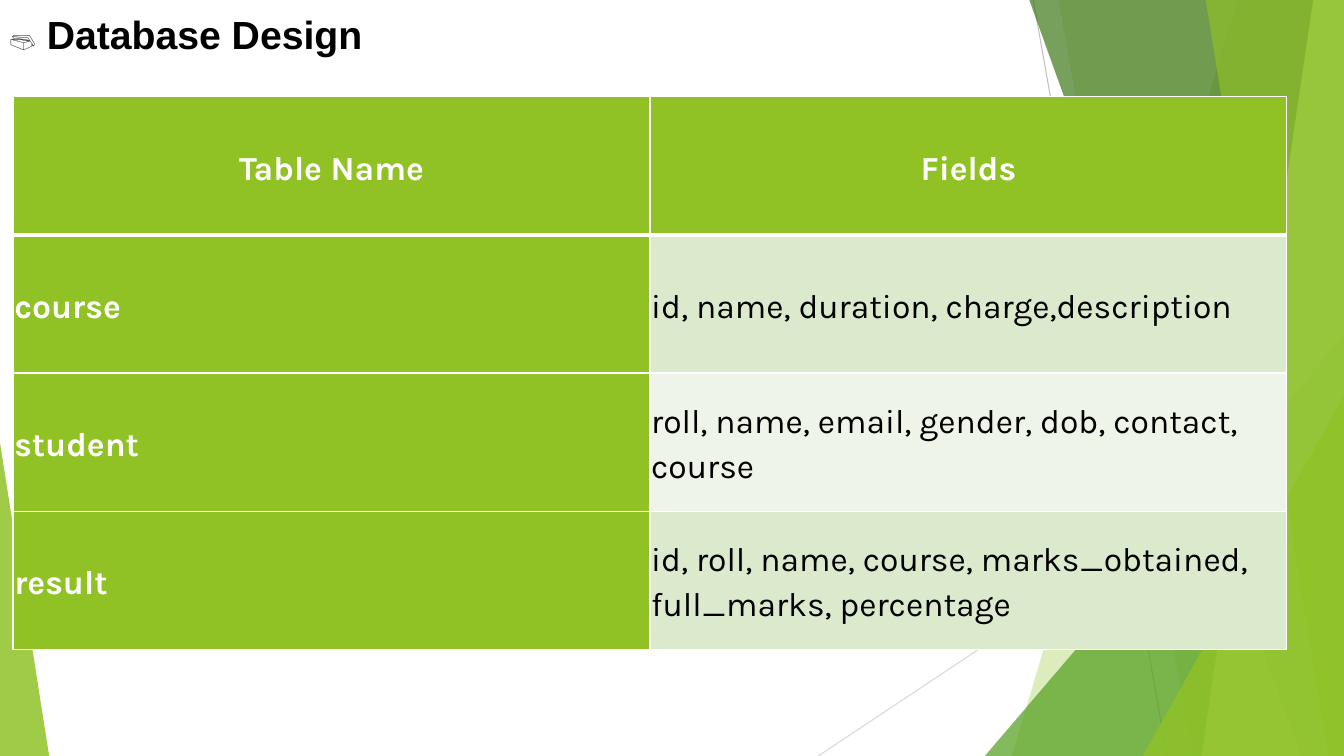
from dataclasses import dataclass
from typing import Any

from lxml.etree import SubElement
from pptx import Presentation
from pptx.dml.color import RGBColor
from pptx.enum.shapes import MSO_CONNECTOR, MSO_SHAPE
from pptx.enum.text import MSO_ANCHOR as ANCHOR
from pptx.enum.text import MSO_AUTO_SIZE as AUTO_SIZE
from pptx.enum.text import PP_ALIGN as ALIGN
from pptx.oxml.ns import qn
from pptx.util import Cm, Pt

# Colours
WHITE = RGBColor(0xFF, 0xFF, 0xFF)
BLACK = RGBColor(0x00, 0x00, 0x00)
LIME = RGBColor(0x90, 0xC2, 0x26)
PALE_LIME = RGBColor(0xC0, 0xE4, 0x74)
GREEN = RGBColor(0x54, 0xA0, 0x21)
DARK_GREEN = RGBColor(0x3F, 0x78, 0x19)
BAND_DARK = RGBColor(0xDB, 0xE9, 0xCD)
BAND_LIGHT = RGBColor(0xEE, 0xF4, 0xE8)
GREY = RGBColor(0xBF, 0xBF, 0xBF)
LIGHT_GREY = RGBColor(0xD9, 0xD9, 0xD9)

# Lengths in centimetres
SLIDE_W, SLIDE_H = 33.87, 19.05
PANEL_TOP = -0.03
COL_W, ROW_H = 16.05, 3.48


@dataclass
class Ray:
    x1: float
    y1: float
    x2: float
    y2: float
    color: RGBColor


@dataclass
class Panel:
    """Slanted panel that reaches the right edge of the slide."""
    top_x: float
    bottom_x: float
    color: RGBColor
    opacity: int


@dataclass
class Wedge:
    """Right triangle standing on the bottom edge of the slide."""
    left: float
    top: float
    width: float
    apex: float
    color: RGBColor
    opacity: int


RAYS = [
    Ray(26.04, 0, 29.41, SLIDE_H, GREY),
    Ray(SLIDE_W, 10.24, 20.62, SLIDE_H, LIGHT_GREY),
]
FACETS = [
    Panel(31.19, 25.5, LIME, 30),
    Panel(26.67, 30.05, LIME, 20),
    Wedge(24.82, 8.46, 9.05, 1, GREEN, 72),
    Panel(25.93, 32.79, DARK_GREEN, 70),
    Panel(33.1, 30.28, PALE_LIME, 70),
    Panel(30.38, 33.48, LIME, 65),
    Wedge(28.8, 9.98, 5.07, 1, LIME, 80),
    Wedge(0, 11.15, 1.24, 0, LIME, 85),
]
ROWS = [
    ("Table Name", "Fields"),
    ("course", "id, name, duration, charge,description"),
    ("student", "roll, name, email, gender, dob, contact, course"),
    ("result", "id, roll, name, course, marks_obtained, full_marks, percentage"),
]
TITLE_FORMAT = {"name": "Arial", "bold": True}
LABEL_FORMAT = {"name": "Karla", "size": Pt(24), "bold": True}
FIELD_FORMAT = {**LABEL_FORMAT, "bold": False}


def set_all(target: Any, values: dict) -> None:
    for name, value in values.items():
        setattr(target, name, value)


def add_run(p: Any, text: str, fmt: dict, color: RGBColor) -> None:
    r = p.add_run()
    r.text = text
    set_all(r.font, fmt)
    r.font.color.rgb = color


def add_ray(s: Any, ray: Ray) -> None:
    line = s.shapes.add_connector(MSO_CONNECTOR.STRAIGHT, Cm(ray.x1), Cm(ray.y1),
                                  Cm(ray.x2), Cm(ray.y2))
    line.line.color.rgb = ray.color
    line.line.width = Pt(0.75)
    SubElement(line._element.spPr, qn("a:effectLst"))


def add_facet(s: Any, facet: Panel | Wedge) -> None:
    if isinstance(facet, Panel):
        builder = s.shapes.build_freeform(Cm(facet.top_x), Cm(PANEL_TOP))
        corners = [(SLIDE_W, PANEL_TOP), (SLIDE_W, SLIDE_H), (facet.bottom_x, SLIDE_H)]
        builder.add_line_segments([(Cm(x), Cm(y)) for x, y in corners], close=True)
        sp = builder.convert_to_shape()
    else:
        sp = s.shapes.add_shape(MSO_SHAPE.ISOSCELES_TRIANGLE, Cm(facet.left), Cm(facet.top),
                                Cm(facet.width), Cm(SLIDE_H - facet.top))
        sp.adjustments[0] = facet.apex
    sp.shadow.inherit = False
    sp.line.fill.background()
    sp.fill.solid()
    sp.fill.fore_color.rgb = facet.color
    color = sp._element.spPr.find(".//" + qn("a:srgbClr"))
    SubElement(color, qn("a:alpha"), val=str(facet.opacity * 1000))


def add_title(s: Any) -> None:
    sp = s.shapes.add_textbox(Cm(0), Cm(0.13), Cm(SLIDE_W), Cm(1.45))
    tf = sp.text_frame
    set_all(tf, {"word_wrap": True, "vertical_anchor": ANCHOR.MIDDLE,
                 "auto_size": AUTO_SIZE.SHAPE_TO_FIT_TEXT})
    p = tf.paragraphs[0]
    for text, size in [("🗃", 16), (" Database Design", 28)]:
        add_run(p, text, {**TITLE_FORMAT, "size": Pt(size)}, BLACK)


def set_borders(cell: Any, widths: dict[str, float]) -> None:
    tc_pr = cell._tc.get_or_add_tcPr()
    for side, width in widths.items():
        ln = SubElement(tc_pr, qn(f"a:ln{side}"), w=str(Pt(width)))
        fill = SubElement(ln, qn("a:solidFill"))
        SubElement(fill, qn("a:srgbClr"), val=str(WHITE))


def add_schema_table(s: Any) -> None:
    table = s.shapes.add_table(len(ROWS), 2, Cm(0.33), Cm(2.44),
                               Cm(2 * COL_W), Cm(len(ROWS) * ROW_H)).table
    set_all(table, {"first_row": False, "horz_banding": False})
    for col in table.columns:
        col.width = Cm(COL_W)
    margins = dict.fromkeys(
        ["margin_left", "margin_right", "margin_top", "margin_bottom"], Cm(0.03))

    for i, texts in enumerate(ROWS):
        table.rows[i].height = Cm(ROW_H)
        for j, text in enumerate(texts):
            cell = table.cell(i, j)
            is_label = i == 0 or j == 0
            set_all(cell, {**margins, "vertical_anchor": ANCHOR.MIDDLE})
            # The header row is set off by a thick rule
            set_borders(cell, {"L": 1, "R": 1, "T": 3 if i == 1 else 1,
                               "B": 3 if i == 0 else 1})
            band = BAND_DARK if i % 2 else BAND_LIGHT
            cell.fill.solid()
            cell.fill.fore_color.rgb = LIME if is_label else band
            p = cell.text_frame.paragraphs[0]
            set_all(p, {"alignment": ALIGN.LEFT if i else ALIGN.CENTER,
                        "line_spacing": 1.15})
            add_run(p, text, LABEL_FORMAT if is_label else FIELD_FORMAT,
                    WHITE if is_label else BLACK)


def main() -> None:
    prs = Presentation()
    set_all(prs, {"slide_width": Cm(SLIDE_W), "slide_height": Cm(SLIDE_H)})
    s = prs.slides.add_slide(prs.slide_layouts[6])

    # Backdrop
    for ray in RAYS:
        add_ray(s, ray)
    for facet in FACETS:
        add_facet(s, facet)

    # Content
    add_title(s)
    add_schema_table(s)
    prs.save("out.pptx")


if __name__ == "__main__":
    main()
